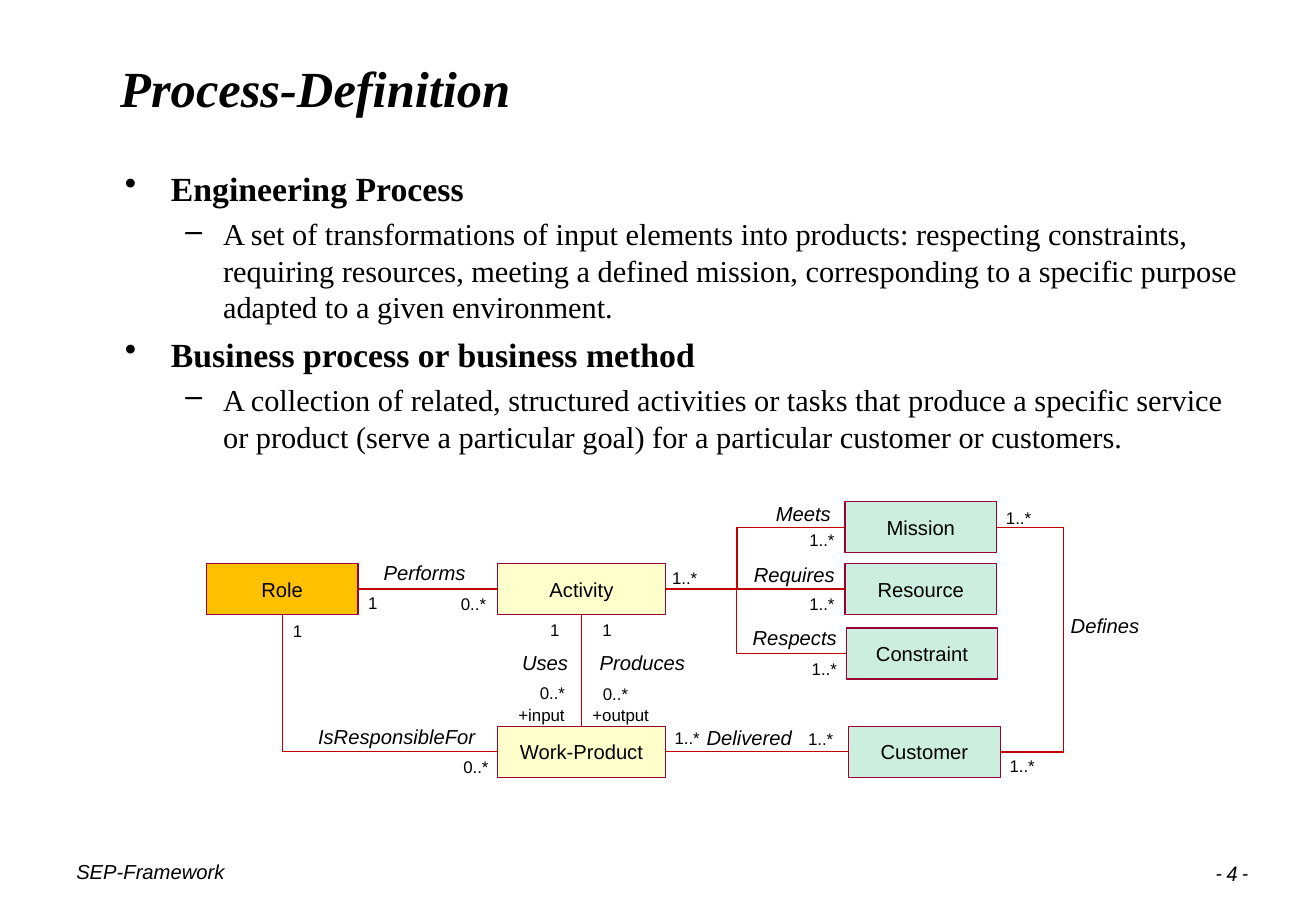
from lxml.etree import SubElement
from pptx import Presentation
from pptx.dml.color import RGBColor
from pptx.enum.shapes import MSO_CONNECTOR, MSO_SHAPE
from pptx.enum.text import MSO_ANCHOR, MSO_AUTO_SIZE, PP_ALIGN
from pptx.oxml.ns import qn
from pptx.util import Inches, Pt

BLACK = RGBColor(0x00, 0x00, 0x00)
RED = RGBColor(0xC0, 0x00, 0x00)
WINE = RGBColor(0x99, 0x00, 0x33)
YELLOW = RGBColor(0xFF, 0xFF, 0xCC)
GREEN = RGBColor(0xCC, 0xEE, 0xDF)
ORANGE = RGBColor(0xFF, 0xC0, 0x00)
SERIF = "Times New Roman"

TITLE = "Process-Definition"
TOPICS = [
    ("Engineering Process",
     "A set of transformations of input elements into products: respecting "
     "constraints, requiring resources, meeting a defined mission, "
     "corresponding to a specific purpose adapted to a given environment."),
    ("Business process or business method",
     "A collection of related, structured activities or tasks that produce "
     "a specific service or product (serve a particular goal) for a "
     "particular customer or customers."),
]
# bullet, left margin, hanging indent, size, bold, space before
LEVELS = [("•", 0.38, 0.38, 20, True, 5), ("–", 0.81, 0.31, 18, False, 4.5)]

BOX_H = 0.42
# name, left, top, width, fill
BOXES = [
    ("Role", 1.7, 4.64, 1.25, ORANGE),
    ("Activity", 4.1, 4.64, 1.38, YELLOW),
    ("Work-Product", 4.1, 5.98, 1.38, YELLOW),
    ("Mission", 6.96, 4.13, 1.25, GREEN),
    ("Resource", 6.96, 4.64, 1.25, GREEN),
    ("Constraint", 6.97, 5.17, 1.25, GREEN),
    ("Customer", 6.99, 5.98, 1.25, GREEN),
]
TOP, LEFT, BOTTOM, RIGHT = range(4)
STRAIGHT = [
    ("Role", RIGHT, "Activity", LEFT),
    ("Activity", RIGHT, "Resource", LEFT),
    ("Activity", BOTTOM, "Work-Product", TOP),
    ("Work-Product", RIGHT, "Customer", LEFT),
]
# the last value is where the line turns; None makes one plain corner
BENT = [
    ("Work-Product", LEFT, "Role", BOTTOM, None),
    ("Activity", RIGHT, "Mission", LEFT, 6.07),
    ("Activity", RIGHT, "Constraint", LEFT, 6.07),
    ("Mission", RIGHT, "Customer", RIGHT, 8.76),
]
SLACK = 0.1  # spare width that keeps a label on one line
# text, left, top, width
VERBS = [
    ("IsResponsibleFor", 2.62, 5.96, 1.3), ("Performs", 3.16, 4.61, 0.68),
    ("Uses", 4.3, 5.35, 0.38), ("Produces", 4.94, 5.35, 0.7),
    ("Delivered", 5.82, 5.97, 0.7), ("Meets", 6.39, 4.13, 0.45),
    ("Requires", 6.21, 4.63, 0.67), ("Respects", 6.2, 5.15, 0.7),
    ("Defines", 8.82, 5.05, 0.57),
]
ROLES = [("+input", 4.27, 5.8, 0.38), ("+output", 4.88, 5.8, 0.47)]
COUNTS = {
    "1": [(4.46, 5.1), (4.89, 5.1), (2.96, 4.88), (2.34, 5.11)],
    "0..*": [(4.39, 5.62), (4.91, 5.63), (3.74, 4.89), (3.76, 6.23)],
    "1..*": [(5.5, 5.99), (6.6, 6), (5.48, 4.67), (6.61, 4.89),
             (6.63, 5.42), (6.61, 4.36), (8.23, 4.18), (8.26, 6.22)],
}


def style(para, text, size=12, font="Arial", bold=False, italic=False,
          align=PP_ALIGN.LEFT):
    para.text = text
    para.alignment = align
    face = para.font
    face.name, face.size = font, Pt(size)
    face.bold, face.italic = bold, italic
    face.color.rgb = BLACK


def note(text, x, y, w, h, inset=False, anchor=MSO_ANCHOR.TOP, **form):
    """Add a text box with one line of text."""
    frame = slide.shapes.add_textbox(
        Inches(x), Inches(y), Inches(w), Inches(h)).text_frame
    frame.word_wrap = True
    frame.vertical_anchor = anchor
    if not inset:
        frame.margin_left = frame.margin_right = 0
        frame.margin_top = frame.margin_bottom = 0
        frame.auto_size = MSO_AUTO_SIZE.SHAPE_TO_FIT_TEXT
    style(frame.paragraphs[0], text, **form)


def add_box(name, x, y, w, fill):
    box = slide.shapes.add_shape(MSO_SHAPE.RECTANGLE, Inches(x), Inches(y),
                                 Inches(w), Inches(BOX_H))
    box.shadow.inherit = False
    box.fill.solid()
    box.fill.fore_color.rgb = fill
    box.line.color.rgb = WINE
    box.line.width = Pt(0)
    box.text_frame.vertical_anchor = MSO_ANCHOR.MIDDLE
    style(box.text_frame.paragraphs[0], name, align=PP_ALIGN.CENTER)
    return box


def link(kind, start, side, end, face):
    line = slide.shapes.add_connector(kind, 0, 0, 0, 0)
    line.begin_connect(boxes[start], side)
    line.end_connect(boxes[end], face)
    line.line.color.rgb = RED
    line.line.width = Pt(0.75)
    SubElement(line._element.spPr, qn("a:effectLst"))
    return line


def bend(line, x):
    """Set the corner of an elbow line, or its turn at x inches."""
    geom = line._element.spPr.find(qn("a:prstGeom"))
    if x is None:
        geom.set("prst", "bentConnector2")
        return
    part = (Inches(x) - line.begin_x) / (line.end_x - line.begin_x)
    guides = geom.find(qn("a:avLst"))
    SubElement(guides, qn("a:gd"), name="adj1",
               fmla=f"val {round(part * 100000)}")


def add_point(para, text, level):
    """Format one bulleted paragraph and return its space before."""
    mark, margin, hang, size, bold, gap = LEVELS[level]
    props = para._p.get_or_add_pPr()
    props.set("marL", str(Inches(margin)))
    props.set("indent", str(-Inches(hang)))
    SubElement(props, qn("a:buChar"), char=mark)
    para.level = level
    style(para, text, size=size, font=SERIF, bold=bold)
    return gap


deck = Presentation()
deck.slide_width, deck.slide_height = Inches(10.84), Inches(7.5)
slide = deck.slides.add_slide(deck.slide_layouts[5])

title = slide.shapes.title
title.left, title.top = Inches(0.89), Inches(0.31)
title.width, title.height = Inches(9.49), Inches(0.81)
title.text_frame.vertical_anchor = MSO_ANCHOR.MIDDLE
style(title.text_frame.paragraphs[0], TITLE, size=30, font=SERIF,
      bold=True, italic=True)

body = slide.shapes.add_textbox(Inches(0.93), Inches(1.33), Inches(9.37),
                                Inches(3.01)).text_frame
body.word_wrap = True
points = [(text, level) for topic in TOPICS
          for level, text in enumerate(topic)]
for i, (text, level) in enumerate(points):
    para = body.add_paragraph() if i else body.paragraphs[0]
    gap = add_point(para, text, level)
    para.space_before = Pt(gap if i else 0)

boxes = {row[0]: add_box(*row) for row in BOXES}
for ends in STRAIGHT:
    link(MSO_CONNECTOR.STRAIGHT, *ends)
for *ends, turn in BENT:
    bend(link(MSO_CONNECTOR.ELBOW, *ends), turn)

for text, x, y, w in VERBS:
    note(text, x, y, w + SLACK, 0.2, italic=True)
for text, x, y, w in ROLES:
    note(text, x, y, w + SLACK, 0.17, size=10)
for text, spots in COUNTS.items():
    for x, y in spots:
        note(text, x, y, 0.22 if text == "1" else 0.32, 0.17, size=10,
             align=PP_ALIGN.CENTER)

note("SEP-Framework", 0.53, 7.03, 2.69, 0.29, inset=True,
     anchor=MSO_ANCHOR.BOTTOM, italic=True)
note("- 4 -", 9.48, 6.95, 0.9, 0.39, inset=True, anchor=MSO_ANCHOR.BOTTOM,
     font="Roboto", italic=True, align=PP_ALIGN.RIGHT)

deck.save("out.pptx")
